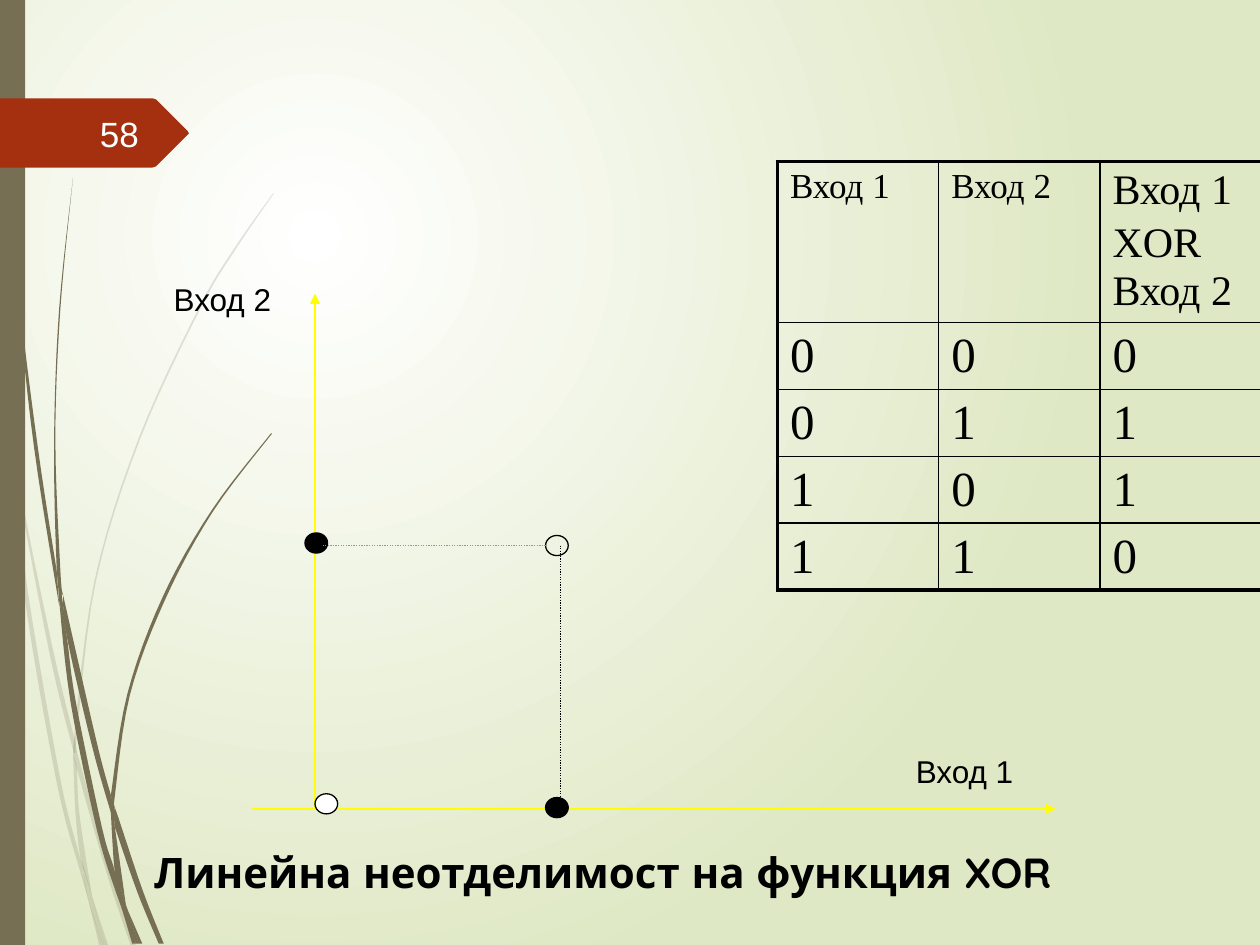
from pptx import Presentation, util as u, oxml
from pptx.dml import color
from pptx.enum import dml, shapes, text
from pptx.oxml import ns

THEME = dict(
    ink="000000", bark="766F54", tag="A53010", pale="FEFFFF", white="FFFFFF",
    glow="FFFFFF", field="DFE8C4", axis="FFFF00", mark="00FF00",
    sans="Arial", serif="Times New Roman", head="Quicksand",
    small=18, mid=20, big=24, huge=28, thin=0.75, rule=1, frame=2.25)
WIDE, HIGH = 10, 7.5

PALE = [
    ([(0, 2.82), (.06, 3.22), (.08, 3.5)], [(.07, 3.44), (0, 2.99)]),
    ([(.1, 3.45), (.19, 4.04), (.43, 5.2), (.59, 5.86)],
     [(.59, 5.99), (.4, 5.22), (.12, 3.76)]),
    ([(.61, 5.96), (.64, 6.07), (.88, 6.92), (1.08, 7.51)],
     [(1.04, 7.51), (.85, 6.94), (.61, 6.1)]),
    ([(.73, 7.11), (.86, 7.51)], [(.83, 7.51)]),
    ([(.08, 3.5), (.12, 3.76), (.22, 4.69), (.48, 6.19), (.64, 6.83), (.7, 7.14)],
     [(.64, 6.93), (.45, 6.21), (.19, 4.7), (.08, 3.5)]),
    ([(.58, 5.99), (.61, 6.1), (.63, 6.46), (.73, 7.11)],
     [(.67, 6.92), (.64, 6.83), (.6, 6.46), (.58, 5.99)]),
    ([(.61, 5.96), (.61, 5.84), (.76, 4.62), (1.11, 3.49), (1.59, 2.45),
      (1.87, 1.98), (2.17, 1.54)],
     [(2.17, 1.53), (1.86, 1.97), (1.58, 2.44), (1.1, 3.48), (.75, 4.61),
      (.59, 5.84), (.61, 5.96)]),
    ([(.7, 7.14), (.82, 7.51)], [(.79, 7.51)]),
    ([(.59, 5.86), (.61, 5.96), (.61, 6.1)], [(.58, 5.99), (.59, 5.86)]),
    ([(.65, 6.83), (.73, 7.11), (.83, 7.51)], [(.82, 7.51), (.7, 7.14), (.65, 6.83)]),
]
DARK = [
    ([(.02, 0), (.03, .48), (.05, 1.1), (.14, 2.33), (.27, 3.55), (.47, 4.81)],
     [(.45, 4.53), (.3, 3.55), (.15, 2.32), (.06, 1.09), (.04, .48), (.03, 0)]),
    ([(.5, 4.72), (.77, 5.9), (.88, 6.31)],
     [(.88, 6.45), (.73, 5.92), (.53, 5.05), (.5, 4.72)]),
    ([(.91, 6.41), (.94, 6.49), (1.13, 7.06), (1.3, 7.49)],
     [(1.26, 7.49), (1.09, 7.08), (.91, 6.56)]),
    ([(.47, 4.77), (.53, 5.05), (.6, 5.56), (.81, 6.57), (.91, 6.91), (.97, 7.22)],
     [(.92, 7.08), (.77, 6.59), (.56, 5.57), (.47, 4.77)]),
    ([(.5, 4.72), (.48, 4.53), (.44, 3.49), (.48, 2.45), (.58, 1.41)],
     [(.58, 1.41), (.47, 2.45), (.43, 3.49), (.45, 4.49), (.49, 4.72)]),
    ([(1, 7.19), (1.13, 7.49)], [(1.1, 7.49)]),
    ([(.45, 4.49), (.49, 4.72), (.53, 5.05)], [(.47, 4.77), (.45, 4.49)]),
    ([(.91, 6.41), (.91, 6.33), (1.03, 5.52), (1.31, 4.76), (1.69, 4.06), (2.16, 3.44)],
     [(2.15, 3.44), (1.68, 4.05), (1.29, 4.74), (1.01, 5.51), (.88, 6.31)]),
    ([(.97, 7.22), (1.08, 7.49)], [(1.05, 7.49)]),
    ([(.88, 6.45), (.91, 6.56), (1, 7.19)], [(.96, 7.06), (.91, 6.91), (.88, 6.45)]),
    ([(.88, 6.31), (.91, 6.41), (.91, 6.56)], [(.88, 6.45), (.88, 6.31)]),
    ([(.91, 6.91), (.96, 7.06), (1.1, 7.49)], [(1.08, 7.49), (.97, 7.22), (.91, 6.91)]),
]
TAG = [(0, .78), (1.21, .78), (1.24, .79), (1.49, 1.04), (1.5, 1.06),
       (1.49, 1.07), (1.24, 1.32), (1.21, 1.33), (0, 1.33)]

ROWS = [["Вход 1", "Вход 2", ["Вход 1 XOR", " ", " Вход 2"]],
        "000", "011", "101", "110"]
GRID = dict(left=6.17, top=1.28, col=1.28, first=1.28, row=.53)

LINES = [
    ((2, 6.42), (8.38, 6.42), "axis", "arrow"),
    ((2.5, 6.41), (2.5, 2.33), "axis", "arrow"),
    ((5.3, 6.45), (5.3, 6.45), "ink", None),
    ((4.45, 4.33), (4.45, 6.37), "ink", "dots"),
    ((2.56, 4.33), (4.33, 4.33), "mark", "dots"),
]
DOTS = [(4.33, 4.25, None), (2.42, 4.23, "ink"), (4.33, 6.33, "ink"), (2.5, 6.3, "white")]
LABELS = [
    ("58", (.56, .86, .64, .4), "RIGHT", "mid", "sans", "pale", False),
    ("Линейна неотделимост на функция XOR ", (.58, 6.67, 8.5, .5),
     "CENTER", "big", "head", "ink", True),
    ("Вход 1", (7.17, 5.92, 1.33, .4), "LEFT", "small", "sans", "ink", False),
    ("Вход 2", (.83, 2.17, 1.42, .4), "RIGHT", "small", "sans", "ink", False),
]


def rgb(key):
    return color.RGBColor.from_string(THEME[key])


def emu(*nums):
    return [u.Inches(n) for n in nums]


def xml(body):
    return oxml.parse_xml(body.replace(" ", f" {ns.nsdecls('a')} ", 1))


def paint(shape, key, line=None):
    shape.shadow.inherit = False
    if key:
        shape.fill.solid()
        shape.fill.fore_color.rgb = rgb(key)
    else:
        shape.fill.background()
    if line:
        shape.line.color.rgb = rgb(line)
        shape.line.width = u.Pt(THEME["thin"])
    else:
        shape.line.fill.background()


def style(font, face, size, ink="ink", bold=False):
    font.name, font.size, font.bold = THEME[face], u.Pt(THEME[size]), bold
    font.color.rgb = rgb(ink)


def smooth(edge, steps=6):
    ends = [edge[0], *edge, edge[-1]]
    out = [edge[0]]
    for a, b, c, d in zip(ends, ends[1:], ends[2:], ends[3:]):
        for t in (i / steps for i in range(1, steps + 1)):
            out.append(tuple(
                q + t / 2 * (r - p + t * (2*p - 5*q + 4*r - s + t * (3*q - p - 3*r + s)))
                for p, q, r, s in zip(a, b, c, d)))
    return out


def outline(tree, pts, key):
    pts = [emu(*p) for p in pts]
    pen = tree.build_freeform(*pts[0])
    pen.add_line_segments(pts[1:])
    shape = pen.convert_to_shape()
    paint(shape, key)
    return shape


def grass(tree, blades, alpha=None):
    group = tree.add_group_shape()
    for one, two in blades:
        blade = outline(group.shapes, smooth(one) + smooth(two), "bark")
        if alpha:
            tint = blade.fill._xPr.find(".//" + ns.qn("a:srgbClr"))
            tint.append(xml(f'<a:alpha val="{alpha * 1000}"/>'))


def edge(cell, row, col):
    wide = dict(L=col == 0, R=col == 2, T=row == 0, B=row == len(ROWS) - 1)
    for i, (side, outer) in enumerate(wide.items()):
        size = u.Pt(THEME["frame" if outer else "rule"])
        cell._tc.get_or_add_tcPr().insert(i, xml(
            f'<a:ln{side} w="{size}"><a:solidFill><a:srgbClr val="{THEME["ink"]}"/>'
            f'</a:solidFill></a:ln{side}>'))


def truth(tree):
    g = GRID
    high = g["first"] + g["row"] * (len(ROWS) - 1)
    grid = tree.add_table(len(ROWS), 3, *emu(g["left"], g["top"], 3 * g["col"], high)).table
    grid.first_row = grid.horz_banding = False
    for r, line in enumerate(ROWS):
        grid.rows[r].height = u.Inches(g["row"] if r else g["first"])
        for c, words in enumerate(line):
            grid.columns[c].width = u.Inches(g["col"])
            cell = grid.cell(r, c)
            cell.fill.background()
            edge(cell, r, c)
            parts = [words] if isinstance(words, str) else words
            sizes = ["huge"] if r else ["mid"] if len(parts) == 1 else ["big", "huge", "big"]
            for part, size in zip(parts, sizes):
                run = cell.text_frame.paragraphs[0].add_run()
                run.text = part
                style(run.font, "serif", size)


def stroke(tree, start, end, key, kind):
    line = tree.add_connector(shapes.MSO_CONNECTOR.STRAIGHT, *emu(*start, *end))
    line.line.color.rgb = rgb(key)
    line.line.width = u.Pt(THEME["thin"])
    if kind == "dots":
        line.line.dash_style = dml.MSO_LINE.ROUND_DOT
    if kind == "arrow":
        line.line._get_or_add_ln().append(xml('<a:tailEnd type="triangle"/>'))
    line._element.spPr.append(xml('<a:effectLst />'))


def label(tree, words, place, side, size, face, ink, bold):
    frame = tree.add_textbox(*emu(*place)).text_frame
    frame.word_wrap = True
    frame.vertical_anchor = text.MSO_ANCHOR.MIDDLE if ink == "pale" else text.MSO_ANCHOR.TOP
    frame.text = words
    para = frame.paragraphs[0]
    para.alignment = text.PP_ALIGN[side]
    style(para.runs[0].font, face, size, ink, bold)


def backdrop(slide):
    slide.background.fill.gradient()
    old = slide.element.find(".//" + ns.qn("a:gradFill"))
    stops = "".join(f'<a:gs pos="{pos}"><a:srgbClr val="{THEME[key]}"/></a:gs>'
                    for pos, key in ((0, "glow"), (100000, "field")))
    old.getparent().replace(old, xml(
        f'<a:gradFill rotWithShape="1"><a:gsLst>{stops}</a:gsLst><a:path path="circle">'
        '<a:fillToRect l="50000" t="50000" r="100000" b="100000"/></a:path></a:gradFill>'))


def main():
    deck = Presentation()
    deck.slide_width, deck.slide_height = emu(WIDE, HIGH)
    slide = deck.slides.add_slide(deck.slide_layouts[6])
    tree = slide.shapes
    backdrop(slide)
    grass(tree, PALE, 20)
    grass(tree, DARK)
    bar = tree.add_shape(shapes.MSO_SHAPE.RECTANGLE, *emu(0, 0, WIDE / 50, HIGH))
    paint(bar, "bark")
    outline(tree, TAG, "tag")
    truth(tree)
    for line in LINES[:3]:
        stroke(tree, *line)
    for x, y, key in DOTS:
        dot = tree.add_shape(shapes.MSO_SHAPE.FLOWCHART_CONNECTOR, *emu(x, y, .18, .16))
        paint(dot, key, "ink")
    for line in LINES[3:]:
        stroke(tree, *line)
    for item in LABELS:
        label(tree, *item)
    deck.save("out.pptx")


if __name__ == "__main__":
    main()
